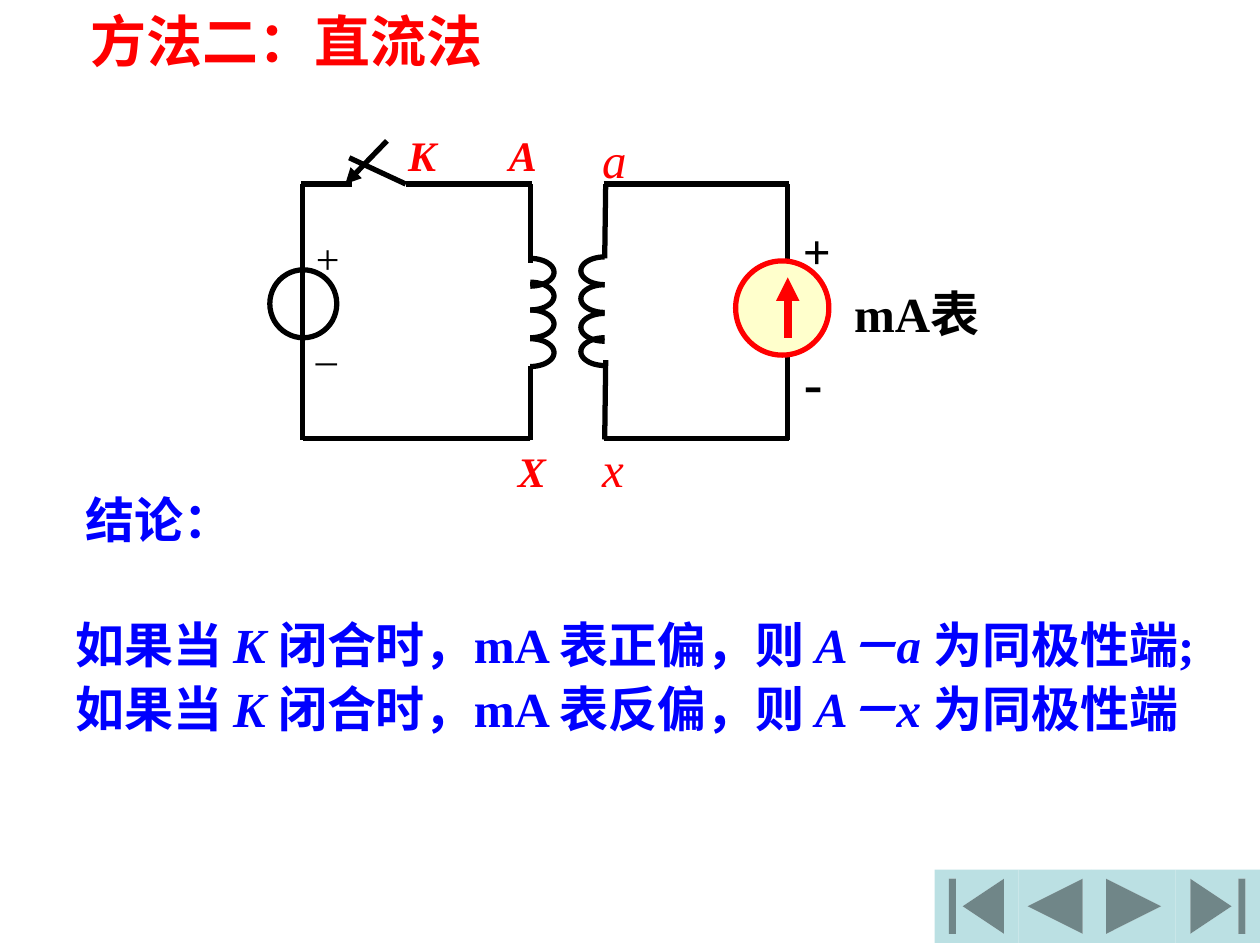
import math
from typing import NamedTuple

import pptx
import pptx.dml.color
import pptx.enum.shapes
import pptx.enum.text
import pptx.oxml.ns
import pptx.util
from lxml import etree
from pptx.util import Cm

FONT = "Times New Roman"
BLACK, RED, BLUE = "000000", "FF0000", "0000FF"
SHAPES = pptx.enum.shapes.MSO_SHAPE


class Box(NamedTuple):
    left: float
    top: float
    width: float
    height: float

    def lengths(self) -> tuple:
        return tuple(Cm(value) for value in self)


class Label(NamedTuple):
    text: str
    box: Box
    format: dict


class Line(NamedTuple):
    x1: float
    y1: float
    x2: float
    y2: float
    color: str = BLACK
    width: float = 3
    arrow: bool = False


class Coil(NamedTuple):
    x: float
    direction: int
    tops: tuple


def rgb(color: str) -> pptx.dml.color.RGBColor:
    return pptx.dml.color.RGBColor.from_string(color)


def add_text(slide, box: Box, text: str, *, size: float = 24, color: str = BLACK,
             bold: bool = False, italic: bool = False, wrap: bool = True,
             centered: bool = False, spacing: float = 1.0) -> None:
    """Asterisks enclose stretches whose italic setting is reversed."""
    shape = slide.shapes.add_textbox(*box.lengths())
    frame = shape.text_frame
    frame.word_wrap = wrap
    frame.auto_size = pptx.enum.text.MSO_AUTO_SIZE.SHAPE_TO_FIT_TEXT
    for index, line in enumerate(text.split("\n")):
        paragraph = frame.add_paragraph() if index else frame.paragraphs[0]
        paragraph.line_spacing = spacing
        if centered:
            paragraph.alignment = pptx.enum.text.PP_ALIGN.CENTER
        for part, content in enumerate(line.split("*")):
            run = paragraph.add_run()
            run.text = content
            run.font.name = FONT
            run.font.size = pptx.util.Pt(size)
            run.font.bold = bold
            run.font.italic = italic != bool(part % 2)
            run.font.color.rgb = rgb(color)


def set_line(shape, color: str, width: float) -> None:
    shape.line.color.rgb = rgb(color)
    shape.line.width = pptx.util.Pt(width)


def add_line(slide, line: Line) -> None:
    connector = slide.shapes.add_connector(
        pptx.enum.shapes.MSO_CONNECTOR.STRAIGHT,
        Cm(line.x1), Cm(line.y1), Cm(line.x2), Cm(line.y2))
    set_line(connector, line.color, line.width)
    qn = pptx.oxml.ns.qn
    if line.arrow:
        etree.SubElement(connector.line._get_or_add_ln(), qn("a:tailEnd"), type="triangle")
    etree.SubElement(connector._element.spPr, qn("a:effectLst"))


def add_shape(slide, kind, box: Box, fill: str = "", line: str = ""):
    shape = slide.shapes.add_shape(kind, *box.lengths())
    shape.shadow.inherit = False
    if fill:
        shape.fill.solid()
        shape.fill.fore_color.rgb = rgb(fill)
    else:
        shape.fill.background()
    if line:
        set_line(shape, line, 3)
    else:
        shape.line.fill.background()
    return shape


def add_coil(slide, coil: Coil, width: float = 0.48, height: float = 0.56,
             steps: int = 24) -> None:
    """Stack half ellipses that bulge to one side."""
    for top in coil.tops:
        points = []
        for step in range(steps + 1):
            angle = math.pi * step / steps
            points.append((Cm(coil.x + coil.direction * width * math.sin(angle)),
                           Cm(top + height / 2 * (1 - math.cos(angle)))))
        builder = slide.shapes.build_freeform(*points[0], scale=1.0)
        builder.add_line_segments(points[1:], close=False)
        shape = builder.convert_to_shape()
        shape.shadow.inherit = False
        shape.fill.background()
        set_line(shape, BLACK, 3)


BUTTONS = [
    (SHAPES.ACTION_BUTTON_BEGINNING, 1.69),
    (SHAPES.ACTION_BUTTON_BACK_OR_PREVIOUS, 1.48),
    (SHAPES.ACTION_BUTTON_FORWARD_OR_NEXT, 1.69),
    (SHAPES.ACTION_BUTTON_END, 1.7),
]

COILS = [
    Coil(10.69, 1, (5.21, 5.69, 6.25, 6.83)),
    Coil(12.19, -1, (5.18, 5.74, 6.32, 6.81)),
]

WIRES = [
    # Primary side
    Line(10.69, 3.71, 10.69, 5.31),
    Line(10.69, 7.37, 10.69, 8.86),
    Line(10.69, 8.84, 8.15, 8.84),
    Line(10.72, 3.71, 8.18, 3.71),
    Line(7.09, 3.71, 6.07, 3.71),
    Line(6.1, 3.71, 6.1, 8.86),
    Line(6.1, 8.84, 8.48, 8.84),
    # Secondary side
    Line(12.19, 8.86, 12.21, 7.26),
    Line(12.19, 5.21, 12.21, 3.71),
    Line(12.17, 3.71, 15.9, 3.71),
    Line(12.17, 8.84, 15.9, 8.84),
    Line(15.88, 8.86, 15.88, 3.71),
    # Switch blade and its closing direction
    Line(8.18, 3.71, 7.04, 3.18),
    Line(7.8, 2.84, 6.96, 3.71, arrow=True),
]
NEEDLE = Line(15.88, 6.81, 15.88, 5.59, RED, 4.5, True)

TERMINAL = dict(color=RED, bold=True, italic=True)
SECONDARY = dict(size=28, color=RED, italic=True)
HEADING = dict(size=28, bold=True, wrap=False, centered=True)

LABELS = [
    Label("方法二：直流法", Box(1.57, 0, 8.66, 1.6), dict(size=32, color=RED, bold=True)),
    Label("mA表", Box(16.97, 5.59, 3.56, 1.42), dict(size=28, bold=True)),
    Label("+", Box(6.12, 4.57, 0.99, 1.27), dict(wrap=False)),
    Label("_", Box(6.12, 6.3, 0.91, 1.27), dict(wrap=False)),
    Label("K", Box(7.98, 2.49, 1.17, 1.27), TERMINAL),
    Label("A", Box(10.01, 2.49, 1.17, 1.27), TERMINAL),
    Label("X", Box(10.19, 8.86, 1.02, 1.27), TERMINAL),
    Label("a", Box(11.89, 2.49, 0.84, 1.42), SECONDARY),
    Label("x", Box(11.89, 8.71, 1.02, 1.42), SECONDARY),
    Label("+", Box(15.93, 4.32, 1.07, 1.45), HEADING),
    Label("-", Box(15.95, 6.88, 0.89, 1.63), HEADING | dict(size=32)),
    Label("如果当 *K *闭合时，mA 表正偏，则 *A－a *为同极性端;\n"
          "如果当 *K *闭合时，mA 表反偏，则 *A－x *为同极性端",
          Box(1.27, 12.14, 24.13, 5.46),
          dict(size=28, color=BLUE, bold=True, spacing=1.1)),
    Label("结论：", Box(0.99, 9.75, 3.45, 1.45), HEADING | dict(color=BLUE)),
]


def main() -> None:
    presentation = pptx.Presentation()
    presentation.slide_width = Cm(25.4)
    presentation.slide_height = Cm(19.05)
    slide = presentation.slides.add_slide(presentation.slide_layouts[6])

    # Navigation buttons
    left = 18.84
    for kind, width in BUTTONS:
        add_shape(slide, kind, Box(left, 17.53, width, 1.48), fill="BBE0E3")
        left += width

    # Circuit
    for coil in COILS:
        add_coil(slide, coil)
    for wire in WIRES:
        add_line(slide, wire)
    add_shape(slide, SHAPES.OVAL, Box(5.44, 5.44, 1.35, 1.37), line=BLACK)
    add_shape(slide, SHAPES.OVAL, Box(14.83, 5.26, 1.88, 1.9), fill="FFFFCC", line=RED)
    add_line(slide, NEEDLE)

    # Title, labels and conclusion
    for label in LABELS:
        add_text(slide, label.box, label.text, **label.format)

    presentation.save("out.pptx")


if __name__ == "__main__":
    main()
